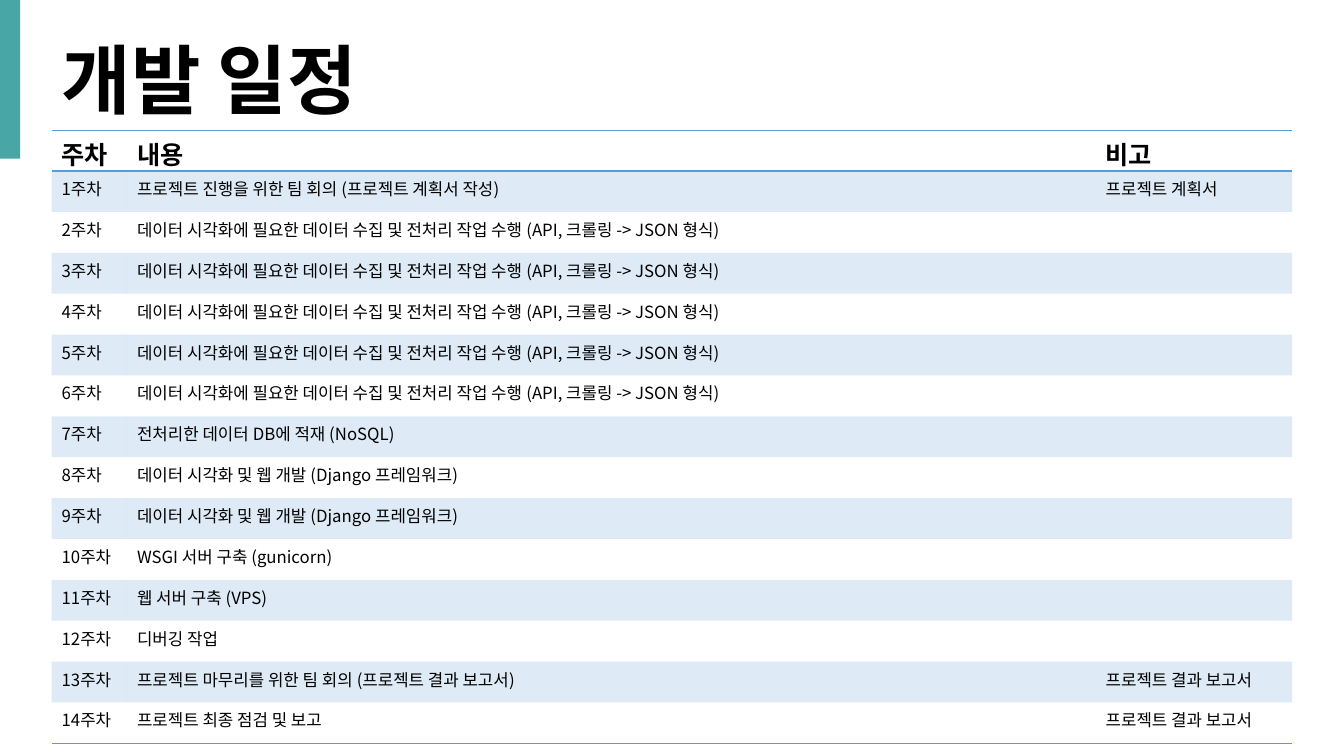
from lxml import etree
from pptx import Presentation, util as u
from pptx.dml.color import RGBColor
from pptx.enum import shapes, text
from pptx.oxml import ns

FONT = "Noto Sans CJK KR"
COLORS = {"accent": "49A6A6", "ink": "000000", "table": "5B9BD5"}
PLAIN_STYLE = "{2D5ABB26-0587-4C30-8999-92F81FD0307C}"
COLUMNS = (1.9, 24.41, 4.95)
HEADER = ("주차", "내용", "비고")
COLLECT = "데이터 시각화에 필요한 데이터 수집 및 전처리 작업 수행 (API, 크롤링 -> JSON 형식)"
VISUALIZE = "데이터 시각화 및 웹 개발 (Django 프레임워크)"
TASKS = [
    "프로젝트 진행을 위한 팀 회의 (프로젝트 계획서 작성)",
    *[COLLECT] * 5,
    "전처리한 데이터 DB에 적재 (NoSQL)",
    *[VISUALIZE] * 2,
    "WSGI 서버 구축 (gunicorn)",
    "웹 서버 구축 (VPS)",
    "디버깅 작업",
    "프로젝트 마무리를 위한 팀 회의 (프로젝트 결과 보고서)",
    "프로젝트 최종 점검 및 보고",
]
NOTES = {1: "프로젝트 계획서", 13: "프로젝트 결과 보고서", 14: "프로젝트 결과 보고서"}


def color(name):
    return RGBColor.from_string(COLORS[name])


def add_run(p, words, size, bold=False):
    r = p.add_run()
    r.text = words
    r.font.size, r.font.bold, r.font.name = u.Pt(size), bold, FONT
    r.font.color.rgb = color("ink")
    etree.SubElement(r.font._element, ns.qn("a:ea"), typeface=FONT)


def add_border(cell, side):
    ln = etree.SubElement(cell._tc.get_or_add_tcPr(), ns.qn("a:ln" + side), w=str(u.Pt(1)))
    fill = etree.SubElement(ln, ns.qn("a:solidFill"))
    etree.SubElement(fill, ns.qn("a:srgbClr"), val=COLORS["table"])


def fill_cell(cell, shaded):
    if not shaded:
        cell.fill.background()
        return
    cell.fill.solid()
    cell.fill.fore_color.rgb = color("table")
    tint = cell._tc.tcPr.find(ns.qn("a:solidFill")).find(ns.qn("a:srgbClr"))
    etree.SubElement(tint, ns.qn("a:alpha"), val="20000")


def add_accent(s, x, y, w, h):
    sp = s.shapes.add_shape(shapes.MSO_SHAPE.RECTANGLE, u.Cm(x), u.Cm(y), u.Cm(w), u.Cm(h))
    sp.shadow.inherit = False
    sp.fill.solid()
    sp.fill.fore_color.rgb = color("accent")
    sp.line.fill.background()


def add_title(s, x, y, w, h):
    tf = s.shapes.add_textbox(u.Cm(x), u.Cm(y), u.Cm(w), u.Cm(h)).text_frame
    tf.word_wrap = False
    tf.auto_size = text.MSO_AUTO_SIZE.SHAPE_TO_FIT_TEXT
    add_run(tf.paragraphs[0], "개발 일정", 54, True)


def add_schedule(s, x, y, w, h):
    rows = [HEADER]
    rows += [(f"{week}주차", task, NOTES.get(week, "")) for week, task in enumerate(TASKS, 1)]
    frame = s.shapes.add_table(len(rows), len(COLUMNS), u.Cm(x), u.Cm(y), u.Cm(w), u.Cm(h))
    table = frame.table
    table.first_row = table.horz_banding = False
    table._tbl.tblPr.find(ns.qn("a:tableStyleId")).text = PLAIN_STYLE
    for column, width in zip(table.columns, COLUMNS):
        column.width = u.Cm(width)
    for i, row in enumerate(rows):
        table.rows[i].height = u.Cm(h / len(rows))
        for j, words in enumerate(row):
            cell = table.cell(i, j)
            p = cell.text_frame.paragraphs[0]
            if words:
                add_run(p, words, 12 if i else 18, i == 0)
            else:
                # Keeps empty cells from stretching the row
                etree.SubElement(p._p, ns.qn("a:endParaRPr"), sz="1200")
            # Rules above and below the header, and under the last week
            if i == 0:
                add_border(cell, "T")
            if i in (0, len(rows) - 1):
                add_border(cell, "B")
            fill_cell(cell, i % 2 == 1)


def schedule_slide(prs):
    s = prs.slides.add_slide(prs.slide_layouts[6])
    add_accent(s, 0, 0, 0.51, 4)
    add_title(s, 1.3, 0.71, 8.89, 2.57)
    add_schedule(s, 1.3, 3.28, sum(COLUMNS), 15.45)


def main():
    prs = Presentation()
    prs.slide_width, prs.slide_height = u.Cm(33.87), u.Cm(19.05)
    schedule_slide(prs)
    prs.save("out.pptx")


if __name__ == "__main__":
    main()
